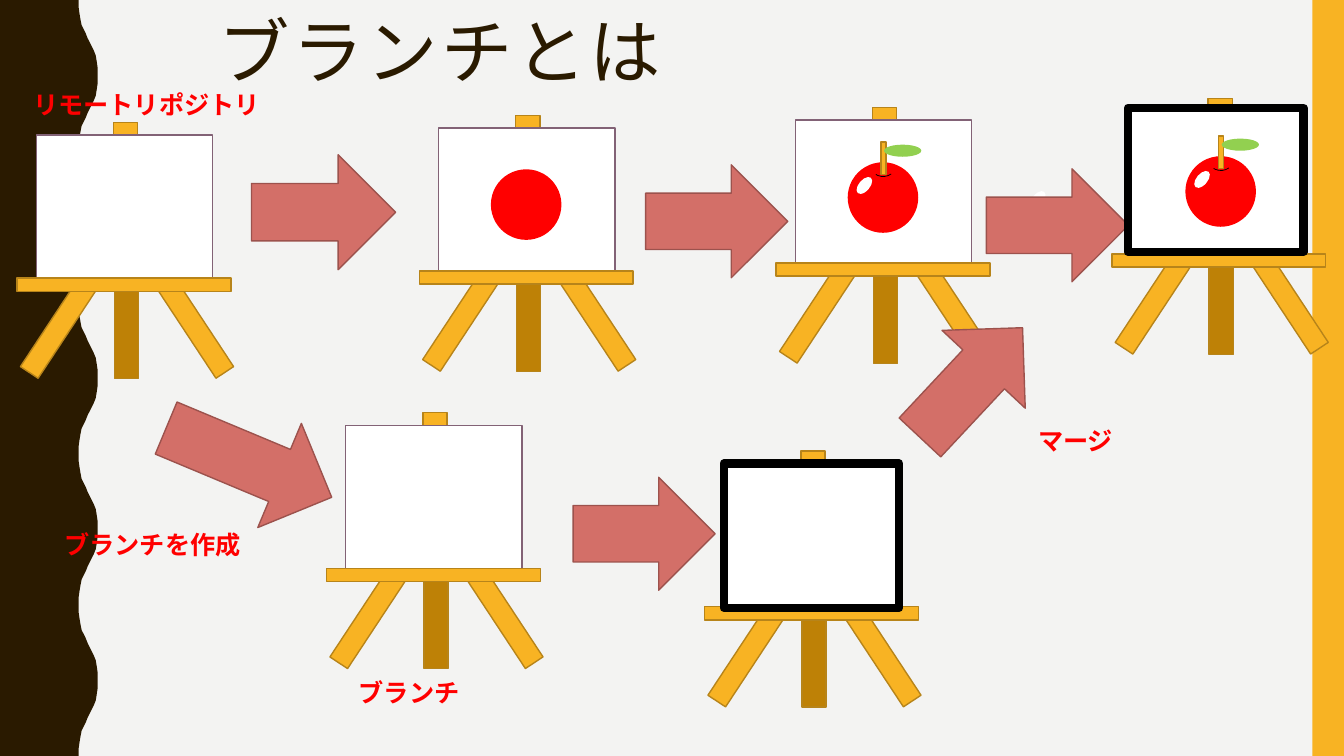
from dataclasses import dataclass

from pptx import Presentation
from pptx.dml.color import RGBColor
from pptx.enum.shapes import MSO_SHAPE as SHAPE
from pptx.enum.text import MSO_ANCHOR as ANCHOR, MSO_AUTO_SIZE as AUTO, PP_ALIGN as ALIGN
from pptx.util import Inches, Pt


@dataclass(frozen=True)
class Theme:
    paper: str = "F3F3F2"
    dark: str = "2A1A00"
    wood: str = "F8B323"
    wood_edge: str = "B7841A"
    post: str = "BE8106"
    canvas: str = "FFFFFF"
    canvas_edge: str = "826276"
    frame: str = "000000"
    red: str = "FF0000"
    leaf: str = "92D050"
    arrow: str = "D36F68"
    arrow_edge: str = "9C524D"
    title_font: str = "Roboto Condensed"
    label_font: str = "Calibri"
    title_size: float = 51
    label_size: float = 18


CELL = 0.1              # inches per square grid cell
COLS, ROWS = 133.33, 75
WAVE_ROWS = 15          # rows in one full wave of the left edge
HALF_WAVE = [(7.8, 0), (7.8, 0.7), (7.9, 1.4), (8, 2), (8.1, 2.5), (8.3, 2.9),
             (8.5, 3.3), (8.7, 3.8), (8.9, 4.2), (9.1, 4.6), (9.3, 5),
             (9.5, 5.5), (9.6, 6.1), (9.7, 6.8), (9.7, 7.5)]


def grid(n):
    return Inches(n * CELL)


class Board:
    """Draws on one slide; positions are grid columns and rows."""

    def __init__(self, prs, theme):
        self.t = theme
        self.s = prs.slides.add_slide(prs.slide_layouts[5])
        fill = self.s.background.fill
        fill.solid()
        fill.fore_color.rgb = RGBColor.from_string(theme.paper)

    def paint(self, sp, fill=None, edge=None, width=1):
        sp.shadow.inherit = False
        if fill:
            sp.fill.solid()
            sp.fill.fore_color.rgb = RGBColor.from_string(fill)
        else:
            sp.fill.background()
        if edge:
            sp.line.color.rgb = RGBColor.from_string(edge)
            sp.line.width = Pt(width)
        else:
            sp.line.fill.background()

    def shape(self, kind, x, y, w, h, fill=None, edge=None, width=1, rot=0, into=None):
        sp = (into or self.s).shapes.add_shape(kind, grid(x), grid(y), grid(w), grid(h))
        sp.rotation = rot
        self.paint(sp, fill, edge, width)
        return sp

    def wavy_edge(self):
        wave = HALF_WAVE + [(x, WAVE_ROWS - y) for x, y in HALF_WAVE[-2::-1]]
        points = [(x, y + top) for top in range(0, ROWS, WAVE_ROWS) for x, y in wave]
        fb = self.s.shapes.build_freeform(0, 0)
        fb.add_line_segments([(grid(x), grid(y)) for x, y in points + [(0, ROWS)]], close=True)
        self.paint(fb.convert_to_shape(), self.t.dark)

    def run(self, p, text, font, size, color, bold=False):
        r = p.add_run()
        r.text = text
        r.font.name, r.font.size, r.font.bold = font, Pt(size), bold
        r.font.color.rgb = RGBColor.from_string(color)
        return r

    def title(self, text, x, y, w, h):
        sp = self.s.shapes.title
        sp.left, sp.top, sp.width, sp.height = map(grid, (x, y, w, h))
        tf = sp.text_frame
        tf.vertical_anchor = ANCHOR.TOP
        tf.auto_size = AUTO.NONE
        p = tf.paragraphs[0]
        p.alignment, p.line_spacing = ALIGN.LEFT, 0.9
        r = self.run(p, text, self.t.title_font, self.t.title_size, self.t.dark)
        r.font._element.set("spc", "200")

    def label(self, text, x, y, w, wrap=True):
        tf = self.s.shapes.add_textbox(grid(x), grid(y), grid(w), grid(4)).text_frame
        tf.word_wrap = wrap
        tf.auto_size = AUTO.SHAPE_TO_FIT_TEXT
        self.run(tf.paragraphs[0], text, self.t.label_font, self.t.label_size, self.t.red, True)

    def arrow(self, x, y, w, h, rot=270):
        self.shape(SHAPE.DOWN_ARROW, x, y, w, h, self.t.arrow, self.t.arrow_edge, rot=rot)

    def easel(self, x, y, frame_shift=None):
        """Easel whose canvas has its top left corner at x, y."""
        t, g = self.t, self.s.shapes.add_group_shape()
        wood, edge = t.wood, t.wood_edge
        for dx, dy, w, h, rot, fill, line in (
                (5.3, 1.1, 7.1, 2.4, 90, wood, edge),              # peg
                (1.8, 13.4, 21.8, 2.1, 236.6, wood, edge),         # right leg
                (-5.6, 13.4, 21.8, 2.1, 123.4, wood, edge),        # left leg
                (-1.9, 12.1, 21.7, 2.4, 90, t.post, edge),         # post
                (0, 0, 17.5, 15.5, 0, t.canvas, t.canvas_edge),    # canvas
                (-1.9, 14.2, 21.2, 1.3, 0, wood, edge)):           # tray
            self.shape(SHAPE.RECTANGLE, x + dx, y + dy, w, h, fill, line, rot=rot, into=g)
        if frame_shift is not None:
            self.shape(SHAPE.RECTANGLE, x + frame_shift, y + frame_shift, 17.4, 14.3,
                       edge=t.frame, width=6, into=g)
        return g

    def disc(self, x, y, into):
        self.shape(SHAPE.OVAL, x, y, 7, 7, self.t.red, into=into)

    def shine(self, x, y, into=None):
        self.shape(SHAPE.OVAL, x, y, 1.1, 2, self.t.canvas, rot=40.5, into=into)

    def apple(self, x, y, into):
        t = self.t
        self.disc(x, y, into)
        self.shape(SHAPE.RECTANGLE, x + 3.3, y - 2, 0.5, 3.2, t.wood, t.wood_edge, into=into)
        dimple = self.shape(SHAPE.ARC, x + 2.2, y - 1.2, 2.7, 2.6, edge=t.frame,
                            width=0.5, rot=144.8, into=into)
        dimple.adjustments[0], dimple.adjustments[1] = 162, 203.87
        self.shape(SHAPE.OVAL, x + 3.6, y - 1.75, 3.7, 1.2, t.leaf, into=into)
        self.shine(x + 1.1, y + 1.3, into)


def main():
    prs = Presentation()
    prs.slide_width, prs.slide_height = grid(COLS), grid(ROWS)
    b = Board(prs, Theme())

    # Side bands and title
    b.wavy_edge()
    b.shape(SHAPE.RECTANGLE, 130.2, 0, 3.13, ROWS, b.t.wood)
    b.title("ブランチとは", 20.7, 1.2, 111.3, 11.2)

    # Remote repository: blank, disc, apple
    b.easel(3.6, 13.4)
    b.disc(48.7, 16.8, b.easel(43.5, 12.7))
    b.apple(84.1, 16.1, b.easel(78.9, 11.9))
    b.shine(102.4, 18.8)

    # Branch
    b.easel(34.3, 42.2)
    b.easel(71.8, 46, frame_shift=0)

    # Arrows between the steps
    b.arrow(26.4, 13.9, 11.4, 14.3)
    b.arrow(19.1, 37, 11.2, 17.8, rot=292.7)
    b.arrow(90.7, 30.5, 11.3, 14.9, rot=223.1)
    for x, y in ((65.5, 14.9), (99.3, 15.3), (58.3, 45.9)):
        b.arrow(x, y, 11.2, 14.1)

    # Merged result
    b.apple(117.6, 15.5, b.easel(112.2, 11, frame_shift=-0.3))

    # Labels
    b.label("ブランチを作成", 5.4, 52, 20.3)
    b.label("マージ", 102, 41.7, 9.6, wrap=False)
    b.label("リモートリポジトリ", 2.3, 8.4, 27.2)
    b.label("ブランチ", 34.6, 66.7, 20.3)

    prs.save("out.pptx")


if __name__ == "__main__":
    main()
